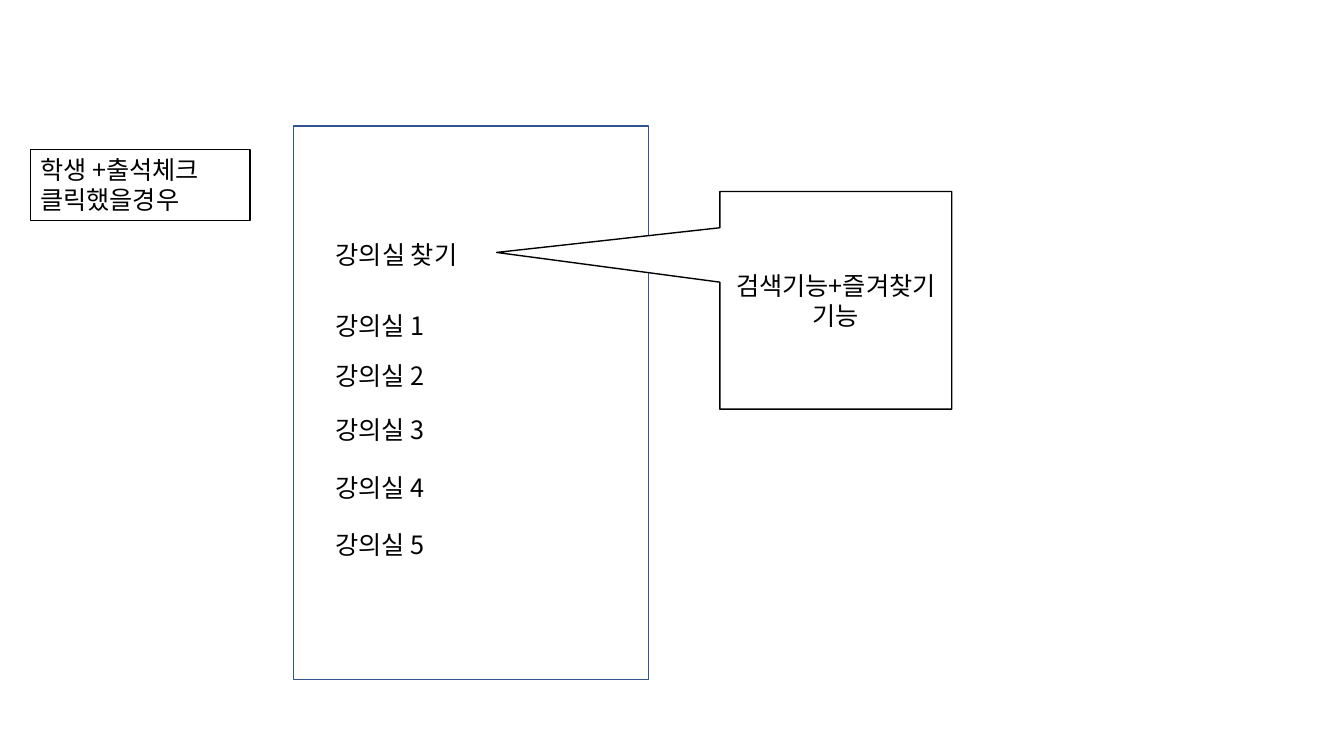
from dataclasses import dataclass
from typing import Optional

from lxml import etree
from pptx import Presentation
from pptx import util as u
from pptx.dml.color import RGBColor
from pptx.enum import shapes, text
from pptx.oxml.ns import qn

PX = 9144  # EMU per px, 100 px to the inch
FONT = "Noto Sans CJK KR"
BLACK = RGBColor(0x00, 0x00, 0x00)
WHITE = RGBColor(0xFF, 0xFF, 0xFF)
BLUE = RGBColor(0x32, 0x54, 0x91)

LABEL_LEFT, LABEL_WIDTH, LABEL_HEIGHT = 323, 269, 40
SEARCH_TOP = 232
ROOM_TOPS = (303, 353, 406, 464, 520)


@dataclass(frozen=True)
class Box:
    left: int
    top: int
    width: int
    height: int
    line: RGBColor
    line_pt: float
    fill: Optional[RGBColor] = WHITE
    kind: shapes.MSO_SHAPE = shapes.MSO_SHAPE.RECTANGLE


SCREEN = Box(291, 125, 352, 549, BLUE, 1)
CONDITION = Box(30, 148, 218, 71, BLACK, 0.75, fill=None)
CALLOUT = Box(714, 190, 230, 216, BLACK, 1,
              kind=shapes.MSO_SHAPE.RECTANGULAR_CALLOUT)
CALLOUT_TIP = (-1.463, -0.22)


def px(*lengths: int) -> list[u.Emu]:
    return [u.Emu(length * PX) for length in lengths]


def add_box(slide, box: Box):
    shape = slide.shapes.add_shape(
        box.kind, *px(box.left, box.top, box.width, box.height))
    shape.shadow.inherit = False
    if box.fill is None:
        shape.fill.background()
    else:
        shape.fill.solid()
        shape.fill.fore_color.rgb = box.fill
    shape.line.color.rgb = box.line
    shape.line.width = u.Pt(box.line_pt)
    return shape


def write(shape, words: str, centred: bool = False) -> None:
    frame = shape.text_frame
    frame.text = words
    frame.word_wrap = True
    frame.auto_size = (text.MSO_AUTO_SIZE.NONE if centred
                       else text.MSO_AUTO_SIZE.SHAPE_TO_FIT_TEXT)
    frame.vertical_anchor = (text.MSO_ANCHOR.MIDDLE if centred
                             else text.MSO_ANCHOR.TOP)
    paragraph = frame.paragraphs[0]
    paragraph.alignment = (text.PP_ALIGN.CENTER if centred
                           else text.PP_ALIGN.LEFT)
    font = paragraph.font
    font.name = FONT
    font.size = u.Pt(18)
    font.color.rgb = BLACK
    # Hangul takes the East Asian typeface, which follows a:latin
    latin = paragraph._p.find(".//" + qn("a:latin"))
    east_asian = etree.Element(qn("a:ea"), typeface=FONT)
    latin.addnext(east_asian)


def add_search_title(slide) -> None:
    title = slide.shapes.title
    title.left, title.top, title.width, title.height = px(
        LABEL_LEFT, SEARCH_TOP, LABEL_WIDTH, LABEL_HEIGHT)
    write(title, "강의실 찾기")
    slide.shapes._spTree.append(title._element)  # in front of the screen


def main() -> None:
    deck = Presentation()
    deck.slide_width, deck.slide_height = px(1333, 750)
    slide = deck.slides.add_slide(deck.slide_layouts.get_by_name("Title Only"))

    add_box(slide, SCREEN)
    write(add_box(slide, CONDITION), "학생 +출석체크 클릭했을경우")
    add_search_title(slide)
    for number, top in enumerate(ROOM_TOPS, start=1):
        room = slide.shapes.add_textbox(
            *px(LABEL_LEFT, top, LABEL_WIDTH, LABEL_HEIGHT))
        write(room, f"강의실 {number}")

    callout = add_box(slide, CALLOUT)
    for index, offset in enumerate(CALLOUT_TIP):
        callout.adjustments[index] = offset
    write(callout, "검색기능+즐겨찾기 기능", centred=True)

    deck.save("out.pptx")


if __name__ == "__main__":
    main()
